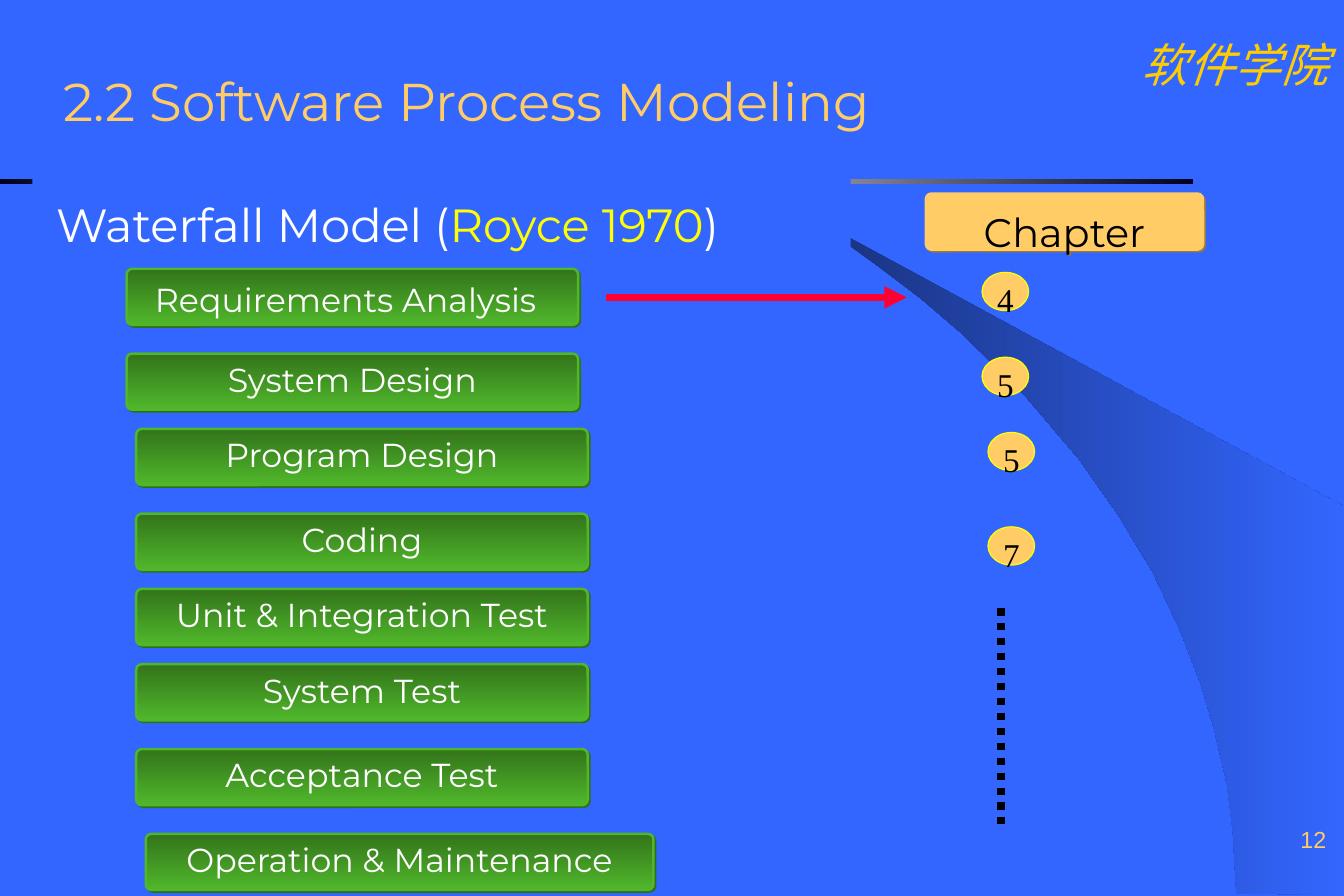
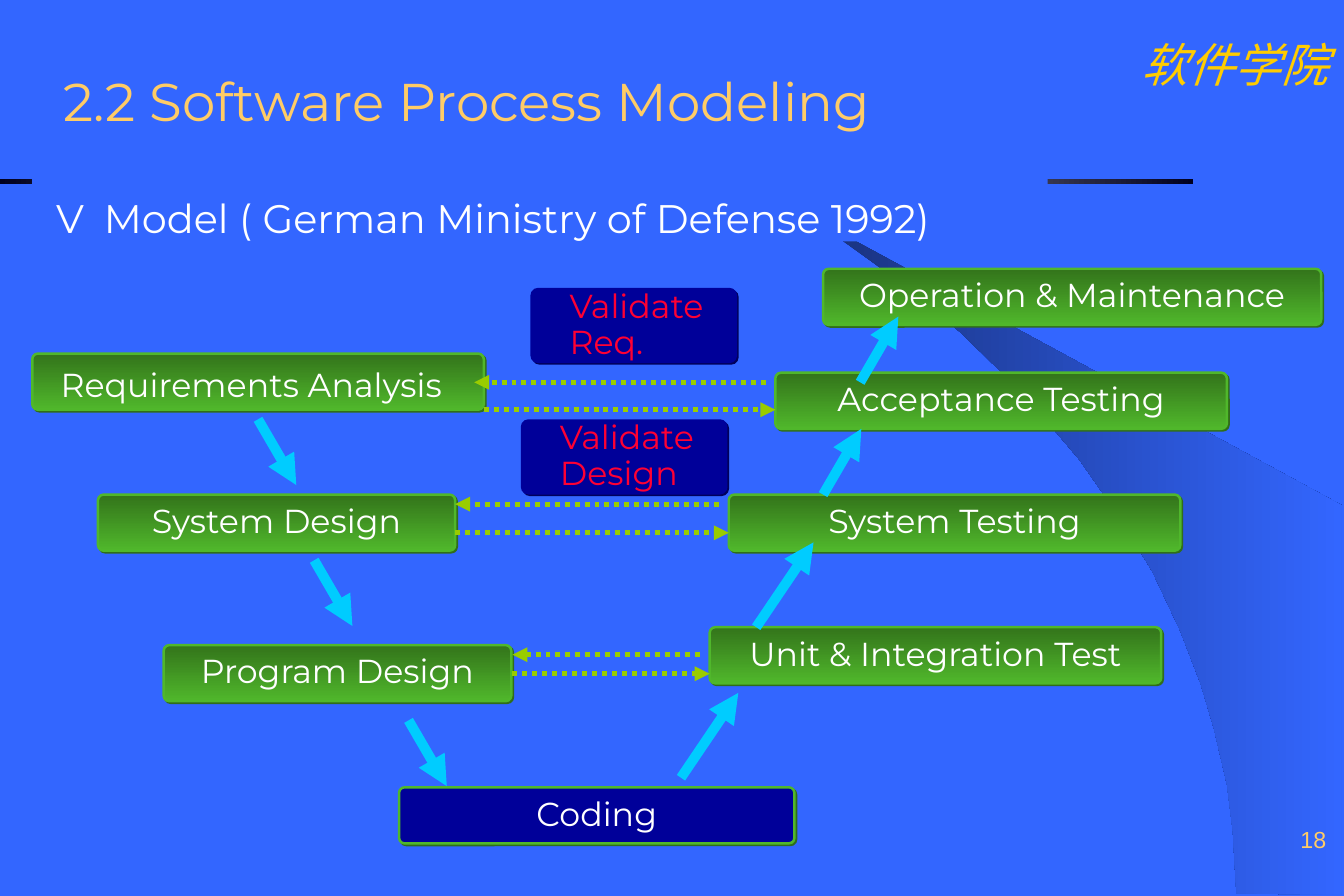
from dataclasses import dataclass
from typing import Any

from lxml.etree import SubElement
from pptx import Presentation
from pptx.dml.color import RGBColor
from pptx.enum.dml import MSO_LINE
from pptx.enum.shapes import MSO_CONNECTOR, MSO_SHAPE
from pptx.enum.text import MSO_ANCHOR, PP_ALIGN
from pptx.oxml.ns import qn
from pptx.util import Inches, Pt

BLUE = RGBColor(0x33, 0x66, 0xFF)
SHADE = RGBColor(0x18, 0x2F, 0x76)
INK = RGBColor(0x00, 0x00, 0x20)
SILVER = RGBColor(0xE5, 0xE5, 0xE8)
GOLD = RGBColor(0xFF, 0xCC, 0x00)
SAND = RGBColor(0xFF, 0xCC, 0x66)
BROWN = RGBColor(0x99, 0x7A, 0x3D)
YELLOW = RGBColor(0xFF, 0xFF, 0x00)
WHITE = RGBColor(0xFF, 0xFF, 0xFF)
BLACK = RGBColor(0x00, 0x00, 0x00)
MOSS = RGBColor(0x33, 0x74, 0x1B)
GREEN = RGBColor(0x50, 0xB7, 0x2B)
PINE = RGBColor(0x30, 0x6E, 0x1A)
NAVY = RGBColor(0x00, 0x00, 0x99)
NIGHT = RGBColor(0x00, 0x00, 0x5C)
RED = RGBColor(0xFF, 0x00, 0x33)
LIME = RGBColor(0x99, 0xCC, 0x00)
CYAN = RGBColor(0x00, 0xCC, 0xFF)

SANS, SERIF = "Montserrat", "Times New Roman"
LEFT, CENTER, RIGHT = PP_ALIGN.LEFT, PP_ALIGN.CENTER, PP_ALIGN.RIGHT
TITLE = "2.2 Software Process Modeling"
BOX_H = 0.47
CURVE = [
    (10.35, 7.48), (11.23, 7.49), (11.23, 4.23), (6.63, 1.73), (7.02, 1.99),
    (7.34, 2.22), (7.71, 2.5), (8.06, 2.8), (8.57, 3.3), (9.03, 3.84),
    (9.36, 4.31), (9.65, 4.79), (9.88, 5.28), (10.05, 5.72), (10.16, 6.09),
    (10.27, 6.56), (10.32, 6.96),
]

Runs = list[tuple[str, RGBColor]]
Pad = tuple[float, float, float, float]


@dataclass(frozen=True)
class Type:
    size: float
    name: str = SANS
    align: PP_ALIGN = CENTER
    space: float = 1.0
    pad: Pad = (0.1, 0, 0.1, 0)
    anchor: MSO_ANCHOR = MSO_ANCHOR.MIDDLE
    wrap: bool = True
    slant: bool = False


@dataclass(frozen=True)
class Look:
    fill: tuple[RGBColor, ...]
    line: RGBColor | None
    shade: RGBColor | None
    ink: RGBColor
    type: Type
    kind: MSO_SHAPE = MSO_SHAPE.ROUNDED_RECTANGLE
    width: float = 1.5


@dataclass(frozen=True)
class Box:
    text: str
    x: float
    y: float
    w: float = 3.78
    h: float = BOX_H


@dataclass(frozen=True)
class Stroke:
    color: RGBColor
    width: float
    dots: bool = False
    arrow: bool = True


HEAD = Type(32, align=LEFT, pad=(0.1, 0.05, 0.1, 0.05))
SCHOOL = Type(28, SERIF, pad=(0.1, 0.05, 0.1, 0.05),
              anchor=MSO_ANCHOR.TOP, slant=True)
NUMBER = Type(14, "Arial", RIGHT, anchor=MSO_ANCHOR.BOTTOM)
LABEL = Type(20, space=0.9)
LOW = Type(20, space=0.9, pad=(0.1, 0.08, 0.21, 0))
NOTE = Type(20, align=LEFT, space=0.9, pad=(0.31, 0, 0.1, 0))
ROUND = Type(20, SERIF, space=1.4, pad=(0, 0.05, 0, 0.05), wrap=False)

STEP = Look((MOSS, GREEN), GREEN, PINE, WHITE, LABEL)
FIRST = Look((MOSS, GREEN), GREEN, PINE, WHITE, LOW)
CODE = Look((NAVY,), GREEN, PINE, WHITE, LABEL)
CHECK = Look((NAVY,), None, NIGHT, RED, NOTE)
CHAPTER = Look((SAND,), SAND, BROWN, BLACK, Type(24, space=1.4))
DISC = Look((SAND,), YELLOW, None, BLACK, ROUND, MSO_SHAPE.OVAL, 0.75)

POINT = Stroke(RED, 4.5)
TRAIL = Stroke(BLACK, 4.5, dots=True, arrow=False)
LINK = Stroke(LIME, 3, dots=True)
FLOW = Stroke(CYAN, 6)


def put(item: Any, vals: dict[str, Any]) -> None:
    for key, val in vals.items():
        setattr(item, key, val)


def write(shape: Any, runs: Runs, kind: Type) -> None:
    frame = shape.text_frame
    sides = ("margin_left", "margin_top", "margin_right", "margin_bottom")
    put(frame, dict(zip(sides, map(Inches, kind.pad))))
    put(frame, {"word_wrap": kind.wrap, "vertical_anchor": kind.anchor})
    para = frame.paragraphs[0]
    put(para, {"alignment": kind.align, "line_spacing": kind.space,
               "space_before": Pt(0)})
    for text, color in runs:
        run = para.add_run()
        run.text = text
        put(run.font, {"size": Pt(kind.size), "name": kind.name,
                       "italic": kind.slant})
        run.font.color.rgb = color


def paint(shape: Any, colors: tuple[RGBColor, ...], angle: float = 0) -> None:
    shape.shadow.inherit = False
    shape.line.fill.background()
    if len(colors) == 1:
        shape.fill.solid()
        shape.fill.fore_color.rgb = colors[0]
        return
    shape.fill.gradient()
    shape.fill.gradient_angle = angle
    stops = shape.element.spPr.find(".//" + qn("a:gsLst"))
    for stop in list(stops):
        stops.remove(stop)
    for i, color in enumerate(colors):
        spot = str(100000 * i // (len(colors) - 1))
        stop = SubElement(stops, qn("a:gs"), pos=spot)
        SubElement(stop, qn("a:srgbClr"), val=str(color))


def cast(shape: Any, color: RGBColor) -> None:
    effects = shape.element.spPr.find(qn("a:effectLst"))
    shade = SubElement(effects, qn("a:outerShdw"), blurRad="0",
                       dist=str(Pt(1.4)), dir="2700000", algn="ctr",
                       rotWithShape="0")
    SubElement(shade, qn("a:srgbClr"), val=str(color))


def add_text(slide: Any, x: float, y: float, w: float, h: float,
             runs: Runs, kind: Type) -> Any:
    shape = slide.shapes.add_textbox(*map(Inches, (x, y, w, h)))
    write(shape, runs, kind)
    return shape


def add_box(slide: Any, box: Box, look: Look) -> None:
    place = map(Inches, (box.x, box.y, box.w, box.h))
    shape = slide.shapes.add_shape(look.kind, *place)
    if look.kind == MSO_SHAPE.ROUNDED_RECTANGLE:
        shape.adjustments[0] = 0.1
    paint(shape, look.fill, 270)
    if look.line is not None:
        shape.line.color.rgb = look.line
        shape.line.width = Pt(look.width)
    if look.shade is not None:
        cast(shape, look.shade)
    write(shape, [(box.text, look.ink)], look.type)


def add_line(slide: Any, ends: tuple[float, ...], stroke: Stroke) -> None:
    line = slide.shapes.add_connector(MSO_CONNECTOR.STRAIGHT,
                                      *map(Inches, ends))
    line.line.color.rgb = stroke.color
    line.line.width = Pt(stroke.width)
    if stroke.dots:
        line.line.dash_style = MSO_LINE.ROUND_DOT
    props = line.element.spPr
    if stroke.arrow:
        SubElement(props.find(qn("a:ln")), qn("a:tailEnd"), type="triangle")
    SubElement(props, qn("a:effectLst"))


def add_topic(slide: Any, w: float, h: float, size: float, runs: Runs) -> Any:
    shape = slide.shapes.add_shape(MSO_SHAPE.RECTANGLE,
                                   *map(Inches, (0.27, 1.47, w, h)))
    paint(shape, (BLUE,))
    write(shape, runs, Type(size, align=LEFT, space=1.4,
                            pad=(0.2, 0.05, 0.2, 0.05)))
    return shape


def dress(slide: Any, layout: Any) -> None:
    school = add_text(slide, 9.42, 0.25, 1.83, 0.57,
                      [("软件学院", GOLD)], SCHOOL)
    spots = [(Inches(x), Inches(y)) for x, y in CURVE]
    maker = slide.shapes.build_freeform(*spots[0])
    maker.add_line_segments(spots[1:], close=True)
    curve = maker.convert_to_shape()
    paint(curve, (SHADE, BLUE))
    band = slide.shapes.add_shape(MSO_SHAPE.RECTANGLE,
                                  *map(Inches, (0, 1.5, 9.99, 0.04)))
    paint(band, (INK, SILVER, INK))
    for shape in (school, curve, band):
        layout.shapes.element.append(shape.element)


def add_page(deck: Any, layout: Any, page: str) -> Any:
    slide = deck.slides.add_slide(layout)
    title = slide.shapes.title
    put(title, {"left": Inches(0.43), "top": Inches(0.44),
                "width": Inches(8.66), "height": Inches(0.79)})
    write(title, [(TITLE, SAND)], HEAD)
    add_text(slide, 8.86, 6.72, 2.34, 0.42, [(page, SAND)], NUMBER)
    return slide


def draw_fall(slide: Any) -> None:
    add_topic(slide, 6.85, 0.63, 28, [("Waterfall Model (", WHITE),
                                      ("Royce 1970", YELLOW), (")", WHITE)])
    add_box(slide, Box("Chapter", 7.75, 1.62, 2.32), CHAPTER)
    for text, x, y in (("4", 8.22, 2.28), ("5", 8.22, 2.99),
                       ("5", 8.27, 3.62), ("7", 8.27, 4.41)):
        add_box(slide, Box(text, x, y, 0.39, 0.32), DISC)
    add_box(slide, Box("Requirements Analysis", 1.06, 2.25), FIRST)
    for box in (
        Box("System Design", 1.06, 2.96),
        Box("Program Design", 1.14, 3.59),
        Box("Coding", 1.14, 4.3),
        Box("Unit & Integration Test", 1.14, 4.93),
        Box("System Test", 1.14, 5.56),
        Box("Acceptance Test", 1.14, 6.27),
        Box("Operation & Maintenance", 1.22, 6.98, 4.25),
    ):
        add_box(slide, box, STEP)
    add_line(slide, (5.07, 2.49, 7.59, 2.49), POINT)
    add_line(slide, (8.38, 5.09, 8.38, 6.9), TRAIL)


def draw_vee(slide: Any) -> None:
    text = "V\tModel ( German Ministry of Defense 1992)"
    topic = add_topic(slide, 8.5, 0.55, 24, [(text, WHITE)])
    props = topic.text_frame.paragraphs[0]._p.get_or_add_pPr()
    tabs = SubElement(props, qn("a:tabLst"))
    SubElement(tabs, qn("a:tab"), pos=str(Inches(0.4)), algn="l")
    add_box(slide, Box("Requirements Analysis", 0.27, 2.96), FIRST)
    add_box(slide, Box("Coding", 3.34, 6.59, 3.31), CODE)
    for box in (
        Box("System Design", 0.82, 4.14, 2.99),
        Box("Program Design", 1.37, 5.4, 2.91),
        Box("Unit & Integration Test", 5.94, 5.25),
        Box("System Testing", 6.1, 4.14),
        Box("Acceptance Testing", 6.49, 3.12),
        Box("Operation & Maintenance", 6.89, 2.25, 4.17),
    ):
        add_box(slide, box, STEP)
    for text, x, y in (("Validate Req.", 4.44, 2.41),
                       ("Validate Design", 4.36, 3.51)):
        add_box(slide, Box(text, x, y, 1.73, 0.63), CHECK)
    for start, end, out, tip, back in ((4.05, 6.49, 3.43, 3.97, 3.2),
                                       (3.81, 6.1, 4.46, 3.81, 4.22),
                                       (4.29, 5.94, 5.64, 4.29, 5.48)):
        add_line(slide, (start, out, end, out), LINK)
        add_line(slide, (end - 0.08, back, tip, back), LINK)
    for x, y, dx, dy in (
        (2.16, 3.51, 0.32, 0.55), (2.63, 4.69, 0.32, 0.55),
        (3.42, 6.03, 0.32, 0.55), (5.7, 6.51, 0.48, -0.71),
        (6.33, 5.25, 0.48, -0.71), (6.89, 4.14, 0.32, -0.55),
        (7.2, 3.2, 0.32, -0.55),
    ):
        add_line(slide, (x, y, x + dx, y + dy), FLOW)


def main() -> None:
    deck = Presentation()
    put(deck, {"slide_width": Inches(11.25), "slide_height": Inches(7.5)})
    ground = deck.slide_master.background.fill
    ground.solid()
    ground.fore_color.rgb = BLUE
    layout = deck.slide_layouts.get_by_name("Title Only")
    fall = add_page(deck, layout, "12")
    dress(fall, layout)
    draw_fall(fall)
    draw_vee(add_page(deck, layout, "18"))
    deck.save("out.pptx")


if __name__ == "__main__":
    main()
